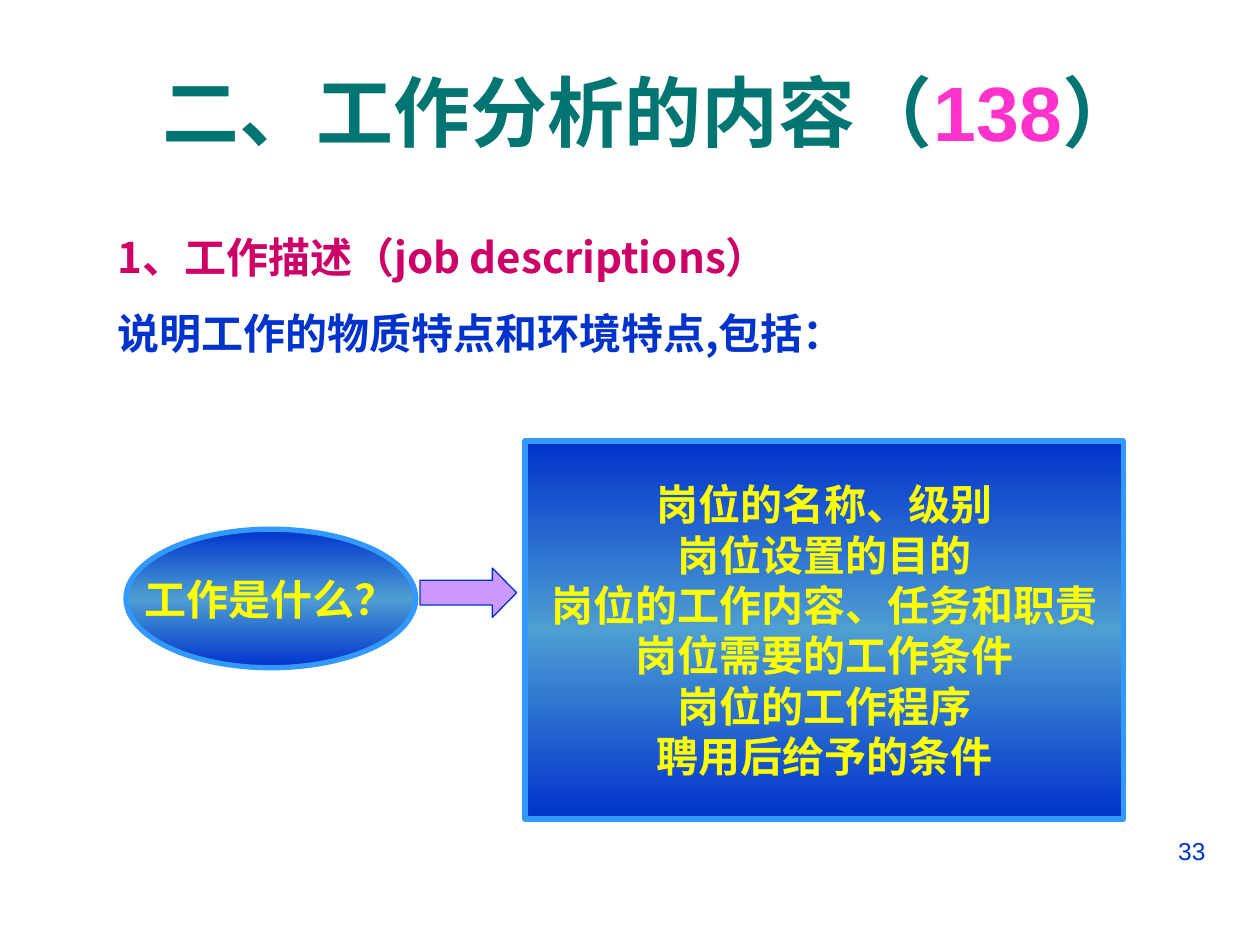
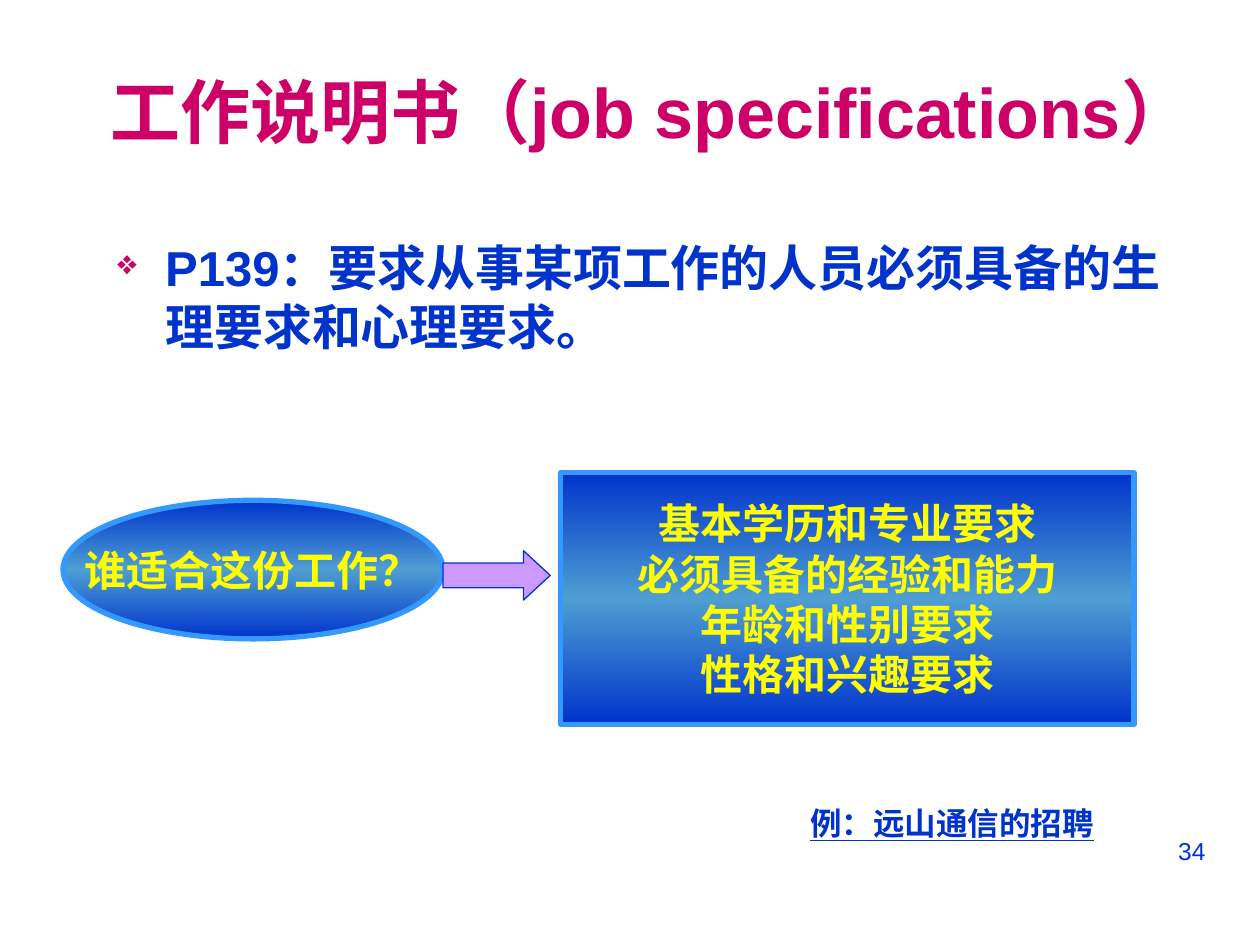
from copy import deepcopy

from lxml.etree import SubElement
from pptx import Presentation
from pptx.dml.color import RGBColor
from pptx.enum.shapes import MSO_SHAPE as Shape
from pptx.enum.text import MSO_ANCHOR as Anchor, MSO_AUTO_SIZE as Fit, PP_ALIGN as Align
from pptx.oxml.ns import qn
from pptx.util import Inches, Pt

# Shared look
WIDE, HIGH = Inches(10), Inches(7.5)
COLS, ROWS = 12, 18
BLUE, SKY, EDGE = "0033CC", "4E9ED2", "3399FF"
TEAL, PINK, ROSE = "007572", "FF33CC", "CC0066"
YELLOW, LILAC = "FFFF00", "CC99FF"
SANS, SERIF, HAN = "Arial", "Times New Roman", "Noto Sans CJK SC"


def color(code):
    return RGBColor.from_string(code)


def area(col, row, cols, rows):
    """Turn grid columns and rows into lengths."""
    return (round(WIDE * col / COLS), round(HIGH * row / ROWS),
            round(WIDE * cols / COLS), round(HIGH * rows / ROWS))


def style(run, size, code, face=SANS, bold=True):
    font = run.font
    font.size, font.bold, font.name = Pt(size), bold, face
    font.color.rgb = color(code)
    SubElement(run._r.get_or_add_rPr(), qn("a:ea"), typeface=HAN)


def add_text(slide, place, lines, size, codes, face=SANS, bold=True):
    """Add a wrapping text box with one colour for each line."""
    frame = slide.shapes.add_textbox(*area(*place)).text_frame
    frame.word_wrap = True
    frame.text = "\n".join(lines)
    for para, code in zip(frame.paragraphs, codes):
        style(para.runs[0], size, code, face, bold)
    return frame


def add_page(deck, number, title, size):
    """Add a slide with its title, in coloured parts, and its number."""
    slide = deck.slides.add_slide(deck.slide_layouts[5])
    head = slide.shapes.title
    head.left, head.top, head.width, head.height = area(0.6, 1, 11.2, 2.2)
    frame = head.text_frame
    frame.auto_size, frame.vertical_anchor = Fit.NONE, Anchor.MIDDLE
    para = frame.paragraphs[0]
    para.alignment = Align.CENTER
    for text, code in title:
        run = para.add_run()
        run.text = text
        style(run, size, code)
    foot = add_text(slide, (8.6, 15.8, 3, 1.25), [str(number)], 14, [BLUE], bold=False)
    foot.paragraphs[0].alignment = Align.RIGHT
    return slide


def add_shape(slide, kind, place, edge, width):
    shape = slide.shapes.add_shape(kind, *area(*place))
    shape.shadow.inherit = False
    shape.line.color.rgb = color(edge)
    shape.line.width = Pt(width)
    return shape


def add_panel(slide, kind, place, lines):
    """Add a shape with a blue gradient and centred yellow lines."""
    shape = add_shape(slide, kind, place, EDGE, 3)
    fill = shape.fill
    fill.gradient()
    fill.gradient_angle = 90
    stops = next(shape._element.iter(qn("a:gsLst")))
    stops.append(deepcopy(stops[0]))
    for stop, share, code in zip(fill.gradient_stops, (0, 0.5, 1), (BLUE, SKY, BLUE)):
        stop.position = share
        stop.color.rgb = color(code)
    frame = shape.text_frame
    frame.word_wrap, frame.vertical_anchor = False, Anchor.MIDDLE
    frame.text = "\n".join(lines)
    for para in frame.paragraphs:
        para.alignment = Align.CENTER
        style(para.runs[0], 24, YELLOW, SERIF)


def add_arrow(slide, place, tip):
    shape = add_shape(slide, Shape.RIGHT_ARROW, place, BLUE, 0.75)
    shape.adjustments[1] = tip
    shape.fill.solid()
    shape.fill.fore_color.rgb = color(LILAC)


def add_bullet(para):
    props = para._p.get_or_add_pPr()
    props.set("marL", str(Inches(0.38)))
    props.set("indent", str(-Inches(0.38)))
    tint = SubElement(props, qn("a:buClr"))
    SubElement(tint, qn("a:srgbClr"), val=ROSE)
    SubElement(props, qn("a:buSzPct"), val="70000")
    SubElement(props, qn("a:buChar"), char="❖")


def add_duties(deck):
    title = [("二、工作分析的内容（", TEAL), ("138", PINK), ("）", TEAL)]
    slide = add_page(deck, 33, title, 44)
    # Question, arrow and answer
    add_panel(slide, Shape.OVAL, (1.2, 10.08, 2.76, 2.64), ["工作是什么？"])
    add_arrow(slide, (4, 10.82, 0.92, 0.94), 0.49)
    add_panel(slide, Shape.RECTANGLE, (5, 8.4, 5.7, 7.2), [
        "岗位的名称、级别", "岗位设置的目的", "岗位的工作内容、任务和职责",
        "岗位需要的工作条件", "岗位的工作程序", "聘用后给予的条件"])
    # Definition
    lines = ["1、工作描述（job descriptions）", "说明工作的物质特点和环境特点,包括："]
    frame = add_text(slide, (1, 4, 7.8, 2.95), lines, 24, [ROSE, BLUE], HAN)
    for para in frame.paragraphs:
        para.line_spacing = 1.3
    frame.paragraphs[1].space_before = Pt(6)


def add_needs(deck):
    slide = add_page(deck, 34, [("工作说明书（job specifications）", ROSE)], 40)
    # Definition
    lines = ["P139：要求从事某项工作的人员必须具备的生理要求和心理要求。"]
    frame = add_text(slide, (1, 4.4, 10.2, 2.8), lines, 28, [BLUE])
    add_bullet(frame.paragraphs[0])
    # Question, arrow and answer
    add_panel(slide, Shape.OVAL, (0.6, 9.53, 3.62, 2.64), ["谁适合这份工作？"])
    add_arrow(slide, (4.22, 10.49, 1.02, 0.94), 0.54)
    add_panel(slide, Shape.RECTANGLE, (5.34, 9, 5.46, 4.8), [
        "基本学历和专业要求", "必须具备的经验和能力", "年龄和性别要求", "性格和兴趣要求"])
    # Example
    note = add_text(slide, (7.6, 15.2, 3.2, 0.96), ["例：远山通信的招聘"], 18, [BLUE])
    note.paragraphs[0].runs[0].font.underline = True


def main():
    deck = Presentation()
    deck.slide_width, deck.slide_height = WIDE, HIGH
    add_duties(deck)
    add_needs(deck)
    deck.save("out.pptx")


if __name__ == "__main__":
    main()
